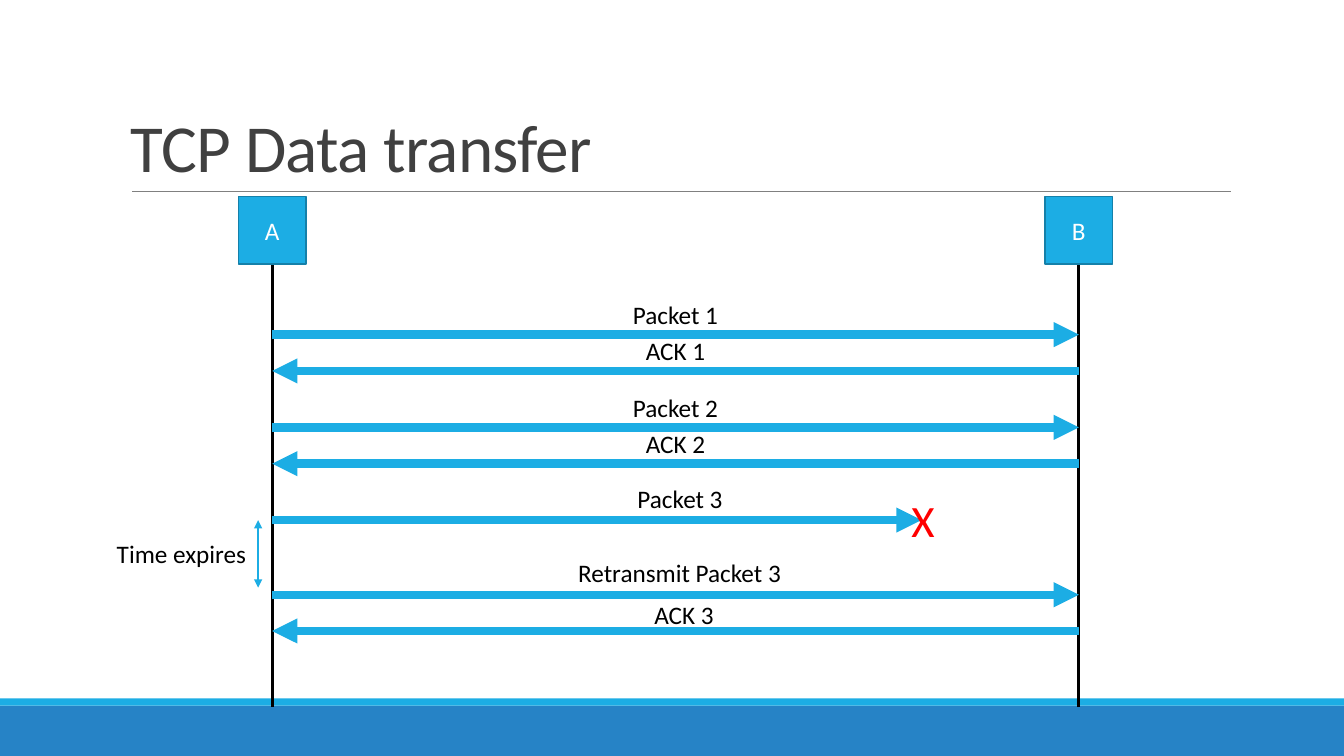
from dataclasses import dataclass
from lxml import etree
from pptx import Presentation, util as u
from pptx.dml.color import RGBColor
from pptx.enum import shapes, text
from pptx.oxml import ns


@dataclass(frozen=True)
class Theme:
    font: str = "Calibri"
    title_size: int = 48
    lost_size: int = 32
    body_size: int = 18
    title: str = "404040"
    rule: str = "808080"
    ink: str = "000000"
    accent: str = "1CADE4"
    edge: str = "1580A9"
    footer: str = "2683C6"
    paper: str = "FFFFFF"
    lost: str = "FF0000"


theme = Theme()
WIDTH, HEIGHT = 13.33, 7.5
deck = Presentation()
deck.slide_width, deck.slide_height = u.Inches(WIDTH), u.Inches(HEIGHT)
slide = deck.slides.add_slide(deck.slide_layouts[6])


def write(holder, words, size, color, align, anchor):
    frame = holder.text_frame
    frame.word_wrap = True
    frame.vertical_anchor = anchor
    paragraph = frame.paragraphs[0]
    paragraph.text = words
    paragraph.alignment = align
    font = paragraph.runs[0].font
    font.name, font.size = theme.font, u.Pt(size)
    font.color.rgb = RGBColor.from_string(color)
    return frame


def draw_line(x1, y1, x2, y2, color, weight, ends=()):
    line = slide.shapes.add_connector(
        shapes.MSO_CONNECTOR.STRAIGHT, *map(u.Inches, (x1, y1, x2, y2)))
    line.line.color.rgb = RGBColor.from_string(color)
    line.line.width = u.Pt(weight)
    for end in ends:
        etree.SubElement(line.line._get_or_add_ln(), ns.qn(f"a:{end}"), type="triangle")
    etree.SubElement(line._element.spPr, ns.qn("a:effectLst"))


LEFT, CENTER = text.PP_ALIGN.LEFT, text.PP_ALIGN.CENTER
TOP, MIDDLE, BOTTOM = text.MSO_ANCHOR.TOP, text.MSO_ANCHOR.MIDDLE, text.MSO_ANCHOR.BOTTOM
RECTANGLE = shapes.MSO_SHAPE.RECTANGLE

footer_top, stripe = 7, 0.07
for top, height, color in ((footer_top, HEIGHT - footer_top, theme.footer),
                           (footer_top - stripe, stripe, theme.accent)):
    band = slide.shapes.add_shape(RECTANGLE, 0, u.Inches(top), u.Inches(WIDTH), u.Inches(height))
    band.shadow.inherit = False
    band.fill.solid()
    band.fill.fore_color.rgb = RGBColor.from_string(color)
    band.line.fill.background()

draw_line(1.31, 1.9, 12.21, 1.9, theme.rule, 0.5)
heading = slide.shapes.add_textbox(*map(u.Inches, (1.2, 0.31, 11, 1.59)))
heading_frame = write(heading, "TCP Data transfer", theme.title_size, theme.title, LEFT, BOTTOM)
heading_frame.paragraphs[0].line_spacing = 0.85
heading_frame.paragraphs[0].runs[0].font._element.set("spc", "-50")

hosts = {"A": 2.7, "B": 10.7}
host_top, host_side = 1.95, 0.67
for column in hosts.values():
    draw_line(column, host_top + host_side, column, 7.01, theme.ink, 2.25)
for host, column in hosts.items():
    box = slide.shapes.add_shape(
        RECTANGLE, *map(u.Inches, (column - host_side / 2, host_top, host_side, host_side)))
    box.shadow.inherit = False
    box.fill.solid()
    box.fill.fore_color.rgb = RGBColor.from_string(theme.accent)
    box.line.color.rgb = RGBColor.from_string(theme.edge)
    box.line.width = u.Pt(1.25)
    write(box, host, theme.body_size, theme.paper, CENTER, MIDDLE)

lost_at = 9.14
sender, receiver = hosts.values()
ack_gap = 0.36
packet_rows = (3.32, 4.24, 5.16, 5.9)
for row in packet_rows:
    lost = row == packet_rows[2]
    draw_line(sender, row, lost_at if lost else receiver, row, theme.accent, 6, ["tailEnd"])
    if not lost:
        draw_line(receiver, row + ack_gap, sender, row + ack_gap, theme.accent, 6, ["tailEnd"])
timer = sender - 0.14
draw_line(timer, packet_rows[2], timer, 5.83, theme.accent, 1, ["headEnd", "tailEnd"])

middle = (sender + receiver) / 2
label_height = 0.4
labels = [(words.format(number), middle - width / 2, row - label_height + drop, width)
          for number, row in enumerate(packet_rows[:2], 1)
          for words, drop, width in (("Packet {}", 0, 1.23), ("ACK {}", ack_gap, 3.09))]
labels += [("Packet 3", 6.13, 4.75, 1.23),
           ("Retransmit Packet 3", 5.62, 5.48, 2.24),
           ("ACK 3", 6.17, 5.9, 1.23)]
notes = [(*label, label_height, theme.body_size, theme.ink, CENTER) for label in labels]
notes += [("X", 8.94, 4.84, 0.54, 0.64, theme.lost_size, theme.lost, LEFT),
          ("Time expires", 1.06, 5.29, 1.86, label_height, theme.body_size, theme.ink, LEFT)]
for words, left, top, width, height, size, color, align in notes:
    note = slide.shapes.add_textbox(*map(u.Inches, (left, top, width, height)))
    write(note, words, size, color, align, TOP).auto_size = text.MSO_AUTO_SIZE.SHAPE_TO_FIT_TEXT

deck.save("out.pptx")
